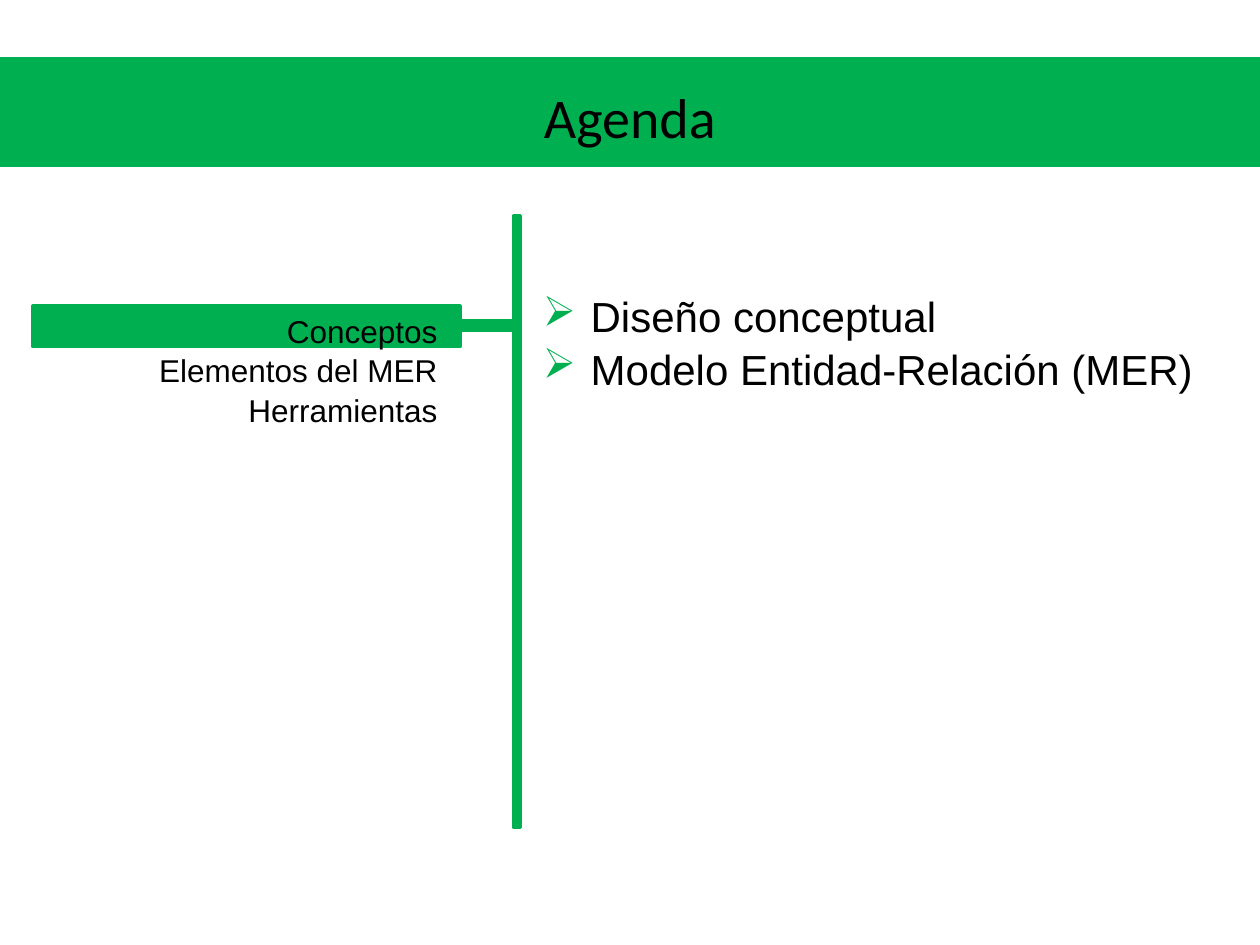
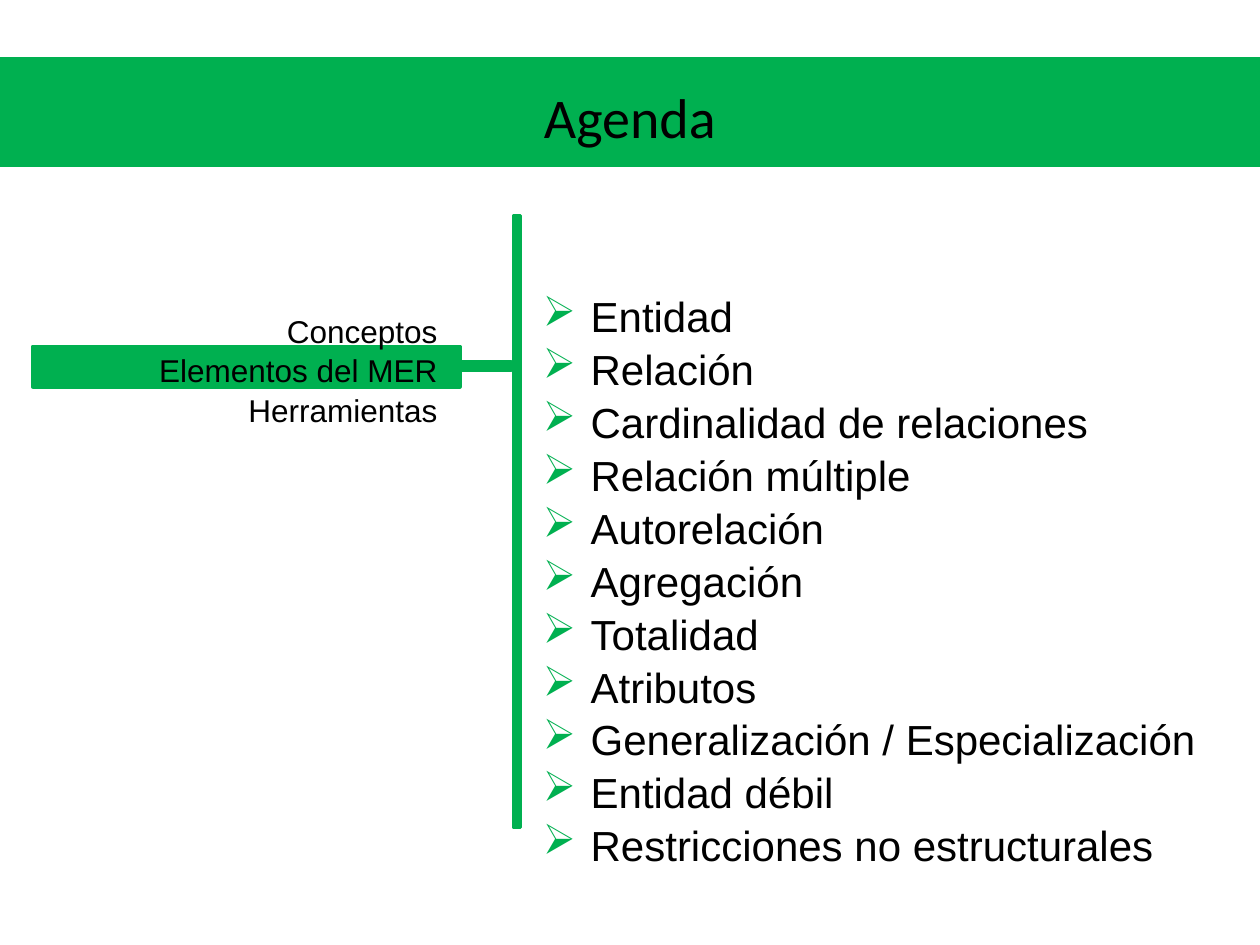
from pptx import Presentation
from pptx.dml.color import RGBColor
from pptx.enum.shapes import MSO_SHAPE as Shape
from pptx.enum.text import MSO_ANCHOR as Anchor, MSO_AUTO_SIZE as AutoSize, PP_ALIGN as Align
from pptx.oxml.ns import qn
from pptx.util import Inches, Pt
from lxml import etree

GREEN = RGBColor(0x00, 0xB0, 0x50)
BLACK = RGBColor(0x00, 0x00, 0x00)

# Content: the agenda sections, and the topics of each section shown
TITLE = "Agenda"
SECTIONS = ["Conceptos", "Elementos del MER", "Herramientas"]
AGENDA = [
    ("Conceptos", ["Diseño conceptual", "Modelo Entidad-Relación (MER)"]),
    ("Elementos del MER", [
        "Entidad", "Relación", "Cardinalidad de relaciones",
        "Relación múltiple", "Autorelación", "Agregación", "Totalidad",
        "Atributos", "Generalización / Especialización", "Entidad débil",
        "Restricciones no estructurales"]),
]

# Layout in inches
MARKER_TOP, MARKER_HEIGHT = 2.43, 0.32
SPUR_OFFSET = 0.12
LINE_SPACING = 1.05
TOPIC_PITCH = 0.4
INDENT = 0.38


def add_bar(page, left, top, width, height):
    bar = page.shapes.add_shape(Shape.RECTANGLE, Inches(left), Inches(top),
                                Inches(width), Inches(height))
    bar.shadow.inherit = False
    bar.fill.solid()
    bar.fill.fore_color.rgb = GREEN
    bar.line.color.rgb = GREEN
    bar.line.width = Pt(2)


def add_text(page, lines, left, top, width, height, size, align,
             font="Arial", spacing=LINE_SPACING):
    box = page.shapes.add_textbox(Inches(left), Inches(top),
                                  Inches(width), Inches(height))
    frame = box.text_frame
    frame.word_wrap = True
    frame.text = "\n".join(lines)
    for para in frame.paragraphs:
        para.alignment = align
        para.line_spacing = spacing
        para.font.name = font
        para.font.size = Pt(size)
        para.font.color.rgb = BLACK
    return frame


def add_bullets(frame):
    for para in frame.paragraphs:
        props = para._p.get_or_add_pPr()
        props.set("marL", str(Inches(INDENT)))
        props.set("indent", str(-Inches(INDENT)))
        color = etree.SubElement(props, qn("a:buClr"))
        etree.SubElement(color, qn("a:srgbClr")).set("val", str(GREEN))
        etree.SubElement(props, qn("a:buChar")).set("char", "➢")
        # The schema wants the bullet before the default run properties
        defaults = props.find(qn("a:defRPr"))
        if defaults is not None:
            props.append(defaults)


def add_agenda_page(deck, section, topics):
    page = deck.slides.add_slide(deck.slide_layouts[6])

    # Marker behind the current section, with a spur to the divider
    top = MARKER_TOP + MARKER_HEIGHT * SECTIONS.index(section)
    add_bar(page, 0.26, top, 3.39, MARKER_HEIGHT)
    add_bar(page, 3.63, top + SPUR_OFFSET, 0.43, 0.07)

    # Title band
    add_bar(page, 0, 0.47, 10, 0.84)
    title = add_text(page, [TITLE], 0.5, 0.3, 9, 1.25, 32, Align.CENTER,
                     "Calibri", 1.0)
    title.vertical_anchor = Anchor.MIDDLE

    # Topics on the right, sections on the left, divider between
    frame = add_text(page, topics, 4.21, 2.24, 5.57,
                     0.1 + TOPIC_PITCH * len(topics), 24, Align.LEFT)
    frame.auto_size = AutoSize.SHAPE_TO_FIT_TEXT
    add_bullets(frame)
    frame = add_text(page, SECTIONS, 0.17, 2.41, 3.4, 1.01, 18, Align.RIGHT)
    frame.auto_size = AutoSize.SHAPE_TO_FIT_TEXT
    add_bar(page, 4.08, 1.71, 0.05, 4.86)


deck = Presentation()
deck.slide_width, deck.slide_height = Inches(10), Inches(7.5)
for section, topics in AGENDA:
    add_agenda_page(deck, section, topics)
deck.save("out.pptx")
